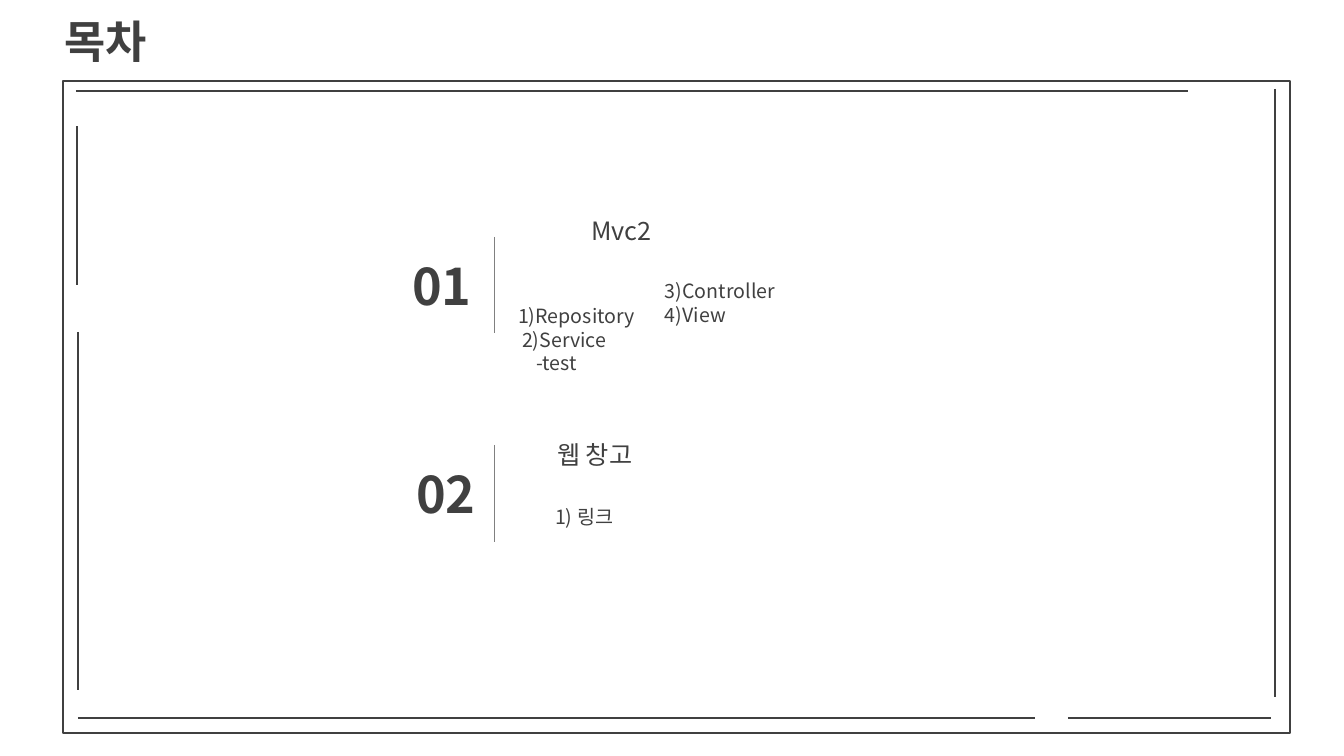
from dataclasses import dataclass
from pptx import Presentation, util as u
from pptx.dml.color import RGBColor
from pptx.enum import shapes, text
from pptx.oxml.ns import qn

PX = 914400 / 100.8


@dataclass(frozen=True)
class Theme:
    font: str = "Noto Sans CJK KR"
    ink: RGBColor = RGBColor(0x40, 0x40, 0x40)
    divider: RGBColor = RGBColor(0x80, 0x80, 0x80)
    title: int = 32
    number: int = 36
    heading: int = 18
    item: int = 14
    frame_width: float = 2
    divider_width: float = 0.5


T = Theme()


def px(n):
    return u.Emu(round(n * PX))


def write(sp, box, lines, size, bold=False, align=text.PP_ALIGN.LEFT):
    """Place a text shape; each line is (words, indent in px)."""
    sp.left, sp.top, sp.width, sp.height = map(px, box)
    tf = sp.text_frame
    tf.word_wrap = True
    tf.auto_size = text.MSO_AUTO_SIZE.NONE
    tf.vertical_anchor = text.MSO_ANCHOR.TOP
    for i, (words, indent) in enumerate(lines):
        p = tf.add_paragraph() if i else tf.paragraphs[0]
        p.alignment = align
        p.space_before = u.Pt(0)
        pPr = p._p.get_or_add_pPr()
        pPr.set("marL", str(px(indent)))
        pPr.set("indent", "0")
        pPr.append(pPr.makeelement(qn("a:buNone"), {}))
        r = p.add_run()
        r.text = words
        f = r.font
        f.name, f.size, f.bold = T.font, u.Pt(size), bold
        f.color.rgb = T.ink
        rPr = r._r.get_or_add_rPr()
        rPr.append(rPr.makeelement(qn("a:ea"), {"typeface": T.font}))


def add_text(s, box, *args, **kwargs):
    write(s.shapes.add_textbox(0, 0, 0, 0), box, *args, **kwargs)


def add_line(s, x1, y1, x2, y2, color, width):
    ln = s.shapes.add_connector(shapes.MSO_CONNECTOR.STRAIGHT,
                                px(x1), px(y1), px(x2), px(y2))
    ln.line.color.rgb = color
    ln.line.width = u.Pt(width)
    spPr = ln._element.spPr
    spPr.append(spPr.makeelement(qn("a:effectLst"), {}))


def add_frame(s):
    sp = s.shapes.add_shape(shapes.MSO_SHAPE.RECTANGLE,
                            px(63), px(81), px(1227), px(652))
    sp.shadow.inherit = False
    sp.fill.background()
    sp.line.color.rgb = T.ink
    sp.line.width = u.Pt(T.frame_width)
    # Broken inner border
    for ends in ((1275, 89, 1275, 697), (77, 126, 77, 285),
                 (78, 332, 78, 690), (76, 91, 1188, 91),
                 (78, 718, 1035, 718), (1068, 718, 1271, 718)):
        add_line(s, *ends, T.ink, T.frame_width)


def add_number(s, words, x, y):
    add_text(s, (x, y, 80, 72), [(words, 0)], T.number, bold=True,
             align=text.PP_ALIGN.CENTER)


def main():
    prs = Presentation()
    prs.slide_width, prs.slide_height = px(1344), px(756)
    s = prs.slides.add_slide(prs.slide_layouts.get_by_name("Comparison"))
    heading_1, list_1, heading_2, list_2 = list(s.placeholders)[1:]

    # Title and frame
    write(s.shapes.title, (54, 9, 652, 65), [("목차", 0)], T.title, bold=True)
    add_frame(s)

    # Section 01
    add_number(s, "01", 402, 250)
    add_line(s, 494, 237, 494, 333, T.divider, T.divider_width)
    write(heading_1, (581, 210, 89, 40), [("Mvc2", 0)], T.heading)
    write(list_1, (508, 299, 150, 82),
          [("1)Repository", 0), ("2)Service", 4), ("-test", 18)], T.item)
    add_text(s, (655, 274, 140, 58),
             [("3)Controller", 0), ("4)View", 0)], T.item)

    # Section 02
    add_number(s, "02", 406, 458)
    add_line(s, 494, 445, 494, 542, T.divider, T.divider_width)
    write(heading_2, (547, 434, 122, 40), [("웹 창고", 0)], T.heading)
    write(list_2, (541, 500, 100, 34), [("1) 링크", 4)], T.item)

    prs.save("out.pptx")


if __name__ == "__main__":
    main()
